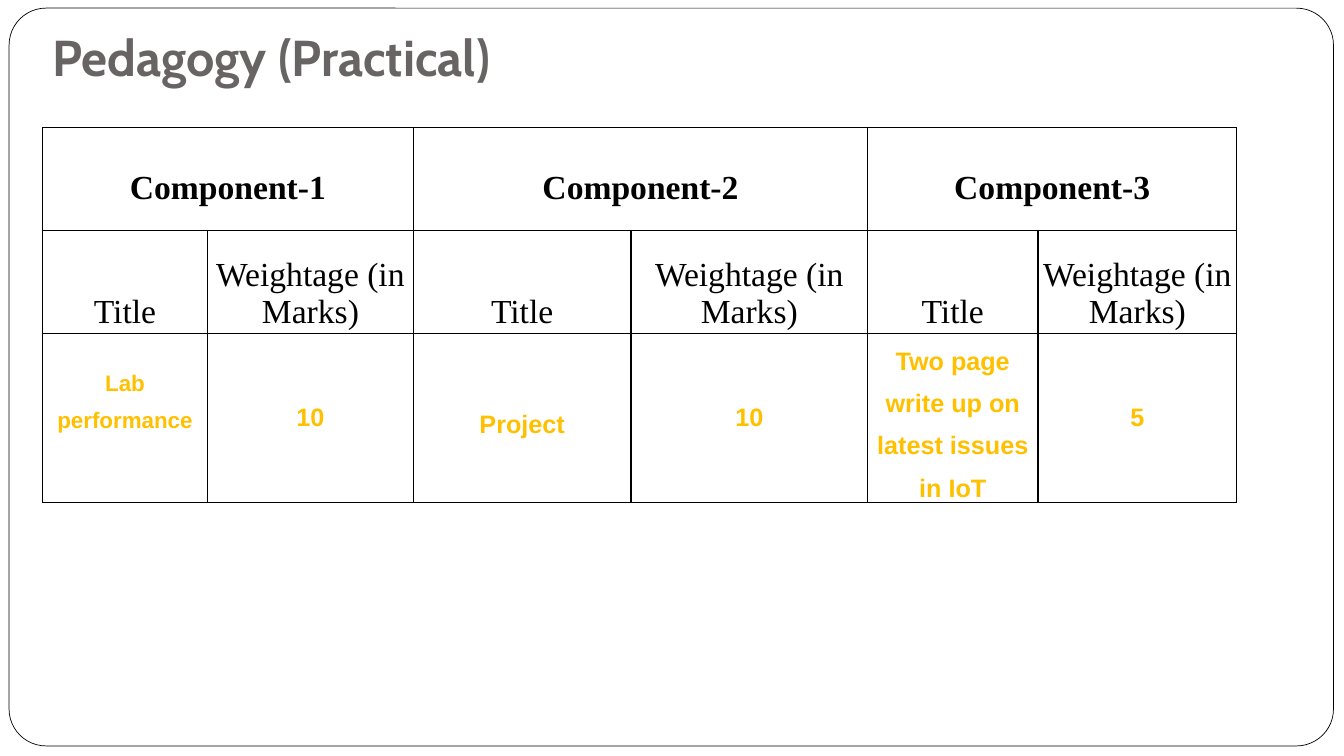
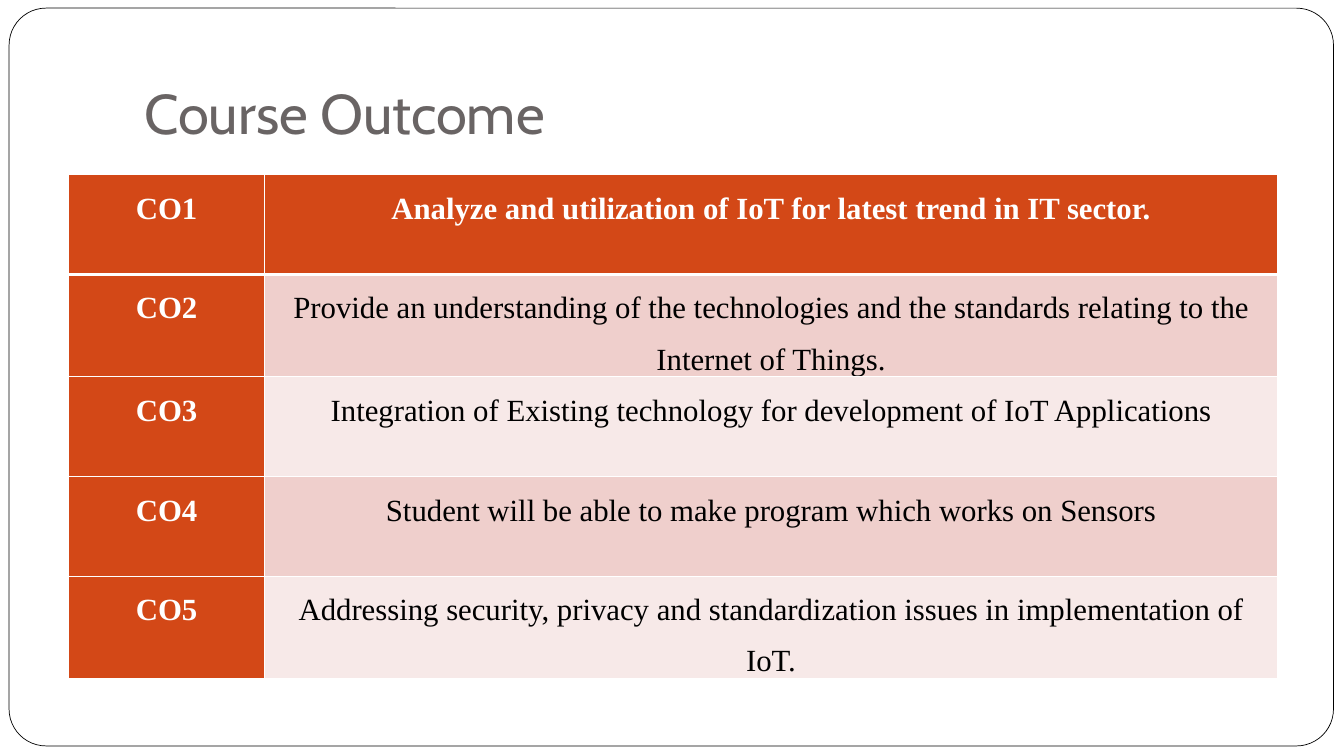
import dataclasses
from typing import Any, Optional

import lxml.etree
import pptx
import pptx.dml.color
import pptx.enum.shapes
import pptx.enum.text
import pptx.oxml.ns
import pptx.util

Pt = pptx.util.Pt
ANCHOR = pptx.enum.text.MSO_ANCHOR
ALIGN = pptx.enum.text.PP_ALIGN

COLORS = {
    "white": "FFFFFF",
    "black": "000000",
    "title": "696464",
    "amber": "FFC000",
    "orange": "D34817",
    "rose": "EFCFCC",
    "pale": "F7E9E8",
}
SERIF, SANS, HEADING = "Times New Roman", "Arial", "Cabin"


@dataclasses.dataclass(frozen=True)
class Style:
    name: str
    size: float
    color: str
    bold: bool = False


@dataclasses.dataclass(frozen=True)
class Cell:
    text: str
    style: Style
    fill: Optional[str] = None
    anchor: Any = ANCHOR.MIDDLE
    spacing: float = 1.5
    after: float = 0
    side: float = 5
    top: float = 0
    bottom: float = 0
    span: int = 1


@dataclasses.dataclass(frozen=True)
class Grid:
    left: float
    top: float
    cols: list[float]
    rows: list[float]
    border: str
    header_rule: float = 1


def rgb(name: str) -> pptx.dml.color.RGBColor:
    return pptx.dml.color.RGBColor.from_string(COLORS[name])


def set_all(obj: Any, values: dict[str, Any]) -> None:
    for key, value in values.items():
        setattr(obj, key, value)


def write(p: Any, text: str, style: Style) -> None:
    r = p.add_run()
    r.text = text
    set_all(r.font, {"name": style.name, "size": Pt(style.size), "bold": style.bold})
    r.font.color.rgb = rgb(style.color)


# Shared parts: frame on the master, title style
def add_frame(prs: Any, slide: Any) -> None:
    sp = slide.shapes.add_shape(pptx.enum.shapes.MSO_SHAPE.ROUNDED_RECTANGLE,
                                Pt(6.5), Pt(5.8), Pt(946), Pt(527))
    sp.adjustments[0] = 0.05
    sp.shadow.inherit = False
    sp.fill.solid()
    sp.fill.fore_color.rgb = rgb("white")
    sp.line.color.rgb = rgb("black")
    sp.line.width = Pt(0.5)
    sp.element.nvSpPr.cNvPr.set("id", "99")
    prs.slide_master.shapes.element.insert(2, sp.element)


def add_title(slide: Any, text: str, box: tuple[float, ...], style: Style) -> None:
    sp = slide.shapes.title
    set_all(sp, dict(zip(("left", "top", "width", "height"), map(Pt, box))))
    tf = sp.text_frame
    set_all(tf, {
        "word_wrap": True,
        "auto_size": pptx.enum.text.MSO_AUTO_SIZE.NONE,
        "vertical_anchor": ANCHOR.BOTTOM,
        "margin_left": Pt(7.2),
        "margin_right": Pt(7.2),
        "margin_top": Pt(3.6),
        "margin_bottom": Pt(7.2),
    })
    p = tf.paragraphs[0]
    p.alignment = ALIGN.LEFT
    write(p, text, style)


# Tables
def set_borders(cell: Any, color: str, widths: dict[str, float]) -> None:
    tcPr = cell._tc.get_or_add_tcPr()
    qn = pptx.oxml.ns.qn
    for side, width in widths.items():
        ln = lxml.etree.SubElement(tcPr, qn(f"a:ln{side}"), w=str(Pt(width)))
        solid = lxml.etree.SubElement(ln, qn("a:solidFill"))
        lxml.etree.SubElement(solid, qn("a:srgbClr"), val=COLORS[color])


def fill_cell(cell: Any, item: Cell) -> None:
    if item.fill:
        cell.fill.solid()
        cell.fill.fore_color.rgb = rgb(item.fill)
    else:
        cell.fill.background()
    set_all(cell, {
        "vertical_anchor": item.anchor,
        "margin_left": Pt(item.side),
        "margin_right": Pt(item.side),
        "margin_top": Pt(item.top),
        "margin_bottom": Pt(item.bottom),
    })
    p = cell.text_frame.paragraphs[0]
    set_all(p, {"alignment": ALIGN.CENTER, "line_spacing": item.spacing,
                "space_after": Pt(item.after)})
    write(p, item.text, item.style)


def add_grid(slide: Any, grid: Grid, rows: list[list[Cell]]) -> None:
    frame = slide.shapes.add_table(len(grid.rows), len(grid.cols), Pt(grid.left), Pt(grid.top),
                                   Pt(sum(grid.cols)), Pt(sum(grid.rows)))
    table = frame.table
    set_all(table, {"first_row": False, "horz_banding": False})
    for col, width in zip(table.columns, grid.cols):
        col.width = Pt(width)
    for i, height in enumerate(grid.rows):
        table.rows[i].height = Pt(height)
        for j in range(len(grid.cols)):
            set_borders(table.cell(i, j), grid.border, {
                "L": 1, "R": 1,
                "T": grid.header_rule if i == 1 else 1,
                "B": grid.header_rule if i == 0 else 1,
            })
    for i, items in enumerate(rows):
        j = 0
        for item in items:
            cell = table.cell(i, j)
            if item.span > 1:
                cell.merge(table.cell(i, j + item.span - 1))
            fill_cell(cell, item)
            j += item.span


# Slide 1
def build_pedagogy(slide: Any) -> None:
    add_title(slide, "Pedagogy (Practical)", (30, 15, 534, 54),
              Style(HEADING, 36, "title", True))
    head = Style(SERIF, 24, "black", True)
    label = Style(SERIF, 24, "black")
    value = Style(SANS, 18, "amber", True)
    small = Style(SANS, 16, "amber", True)
    components = [Cell(f"Component-{n}", head, span=2) for n in (1, 2, 3)]
    labels = [Cell(text, label, anchor=ANCHOR.BOTTOM, spacing=1, side=2, top=1.5, bottom=1.5)
              for text in ("Title", "Weightage (in Marks)") * 3]
    values = [
        Cell("Lab performance", small, bottom=31),
        Cell("10", value, spacing=1),
        Cell("Project", value),
        Cell("10", value, spacing=1),
        Cell("Two page write up on latest issues in IoT", value),
        Cell("5", value, spacing=1),
    ]
    grid = Grid(30.3, 91, [118, 147, 155.5, 169, 121.7, 142], [73.5, 73.5, 67.7], "black")
    add_grid(slide, grid, [components, labels, values])


# Slide 2
def build_outcomes(slide: Any) -> None:
    add_title(slide, "Course Outcome", (96, 21.6, 816, 90), Style(HEADING, 40, "title"))
    strong = Style(SERIF, 22, "white", True)
    plain = Style(SERIF, 22, "black")
    outcomes = [
        ("Analyze and utilization of IoT for latest trend in IT sector.", strong, "orange", 0),
        ("Provide an understanding of the technologies and the standards relating to the "
         "Internet of Things.", plain, "rose", 0),
        ("Integration of Existing technology for development of IoT Applications",
         plain, "pale", 0),
        ("Student will be able to make program which works on Sensors", plain, "rose", 12),
        ("Addressing security, privacy and standardization issues in implementation of IoT.",
         plain, "pale", 12),
    ]
    rows = [[Cell(f"CO{n}", strong, "orange", ANCHOR.TOP),
             Cell(text, style, fill, ANCHOR.TOP, after=after)]
            for n, (text, style, fill, after) in enumerate(outcomes, 1)]
    grid = Grid(49, 124.8, [140, 723.5], [71.3, 60, 71.3, 71.3, 71.3], "white", 3)
    add_grid(slide, grid, rows)


def main() -> None:
    prs = pptx.Presentation()
    set_all(prs, {"slide_width": Pt(960), "slide_height": Pt(540)})
    slides = [prs.slides.add_slide(prs.slide_layouts[5]) for _ in range(2)]
    add_frame(prs, slides[0])
    build_pedagogy(slides[0])
    build_outcomes(slides[1])
    prs.save("out.pptx")


if __name__ == "__main__":
    main()
